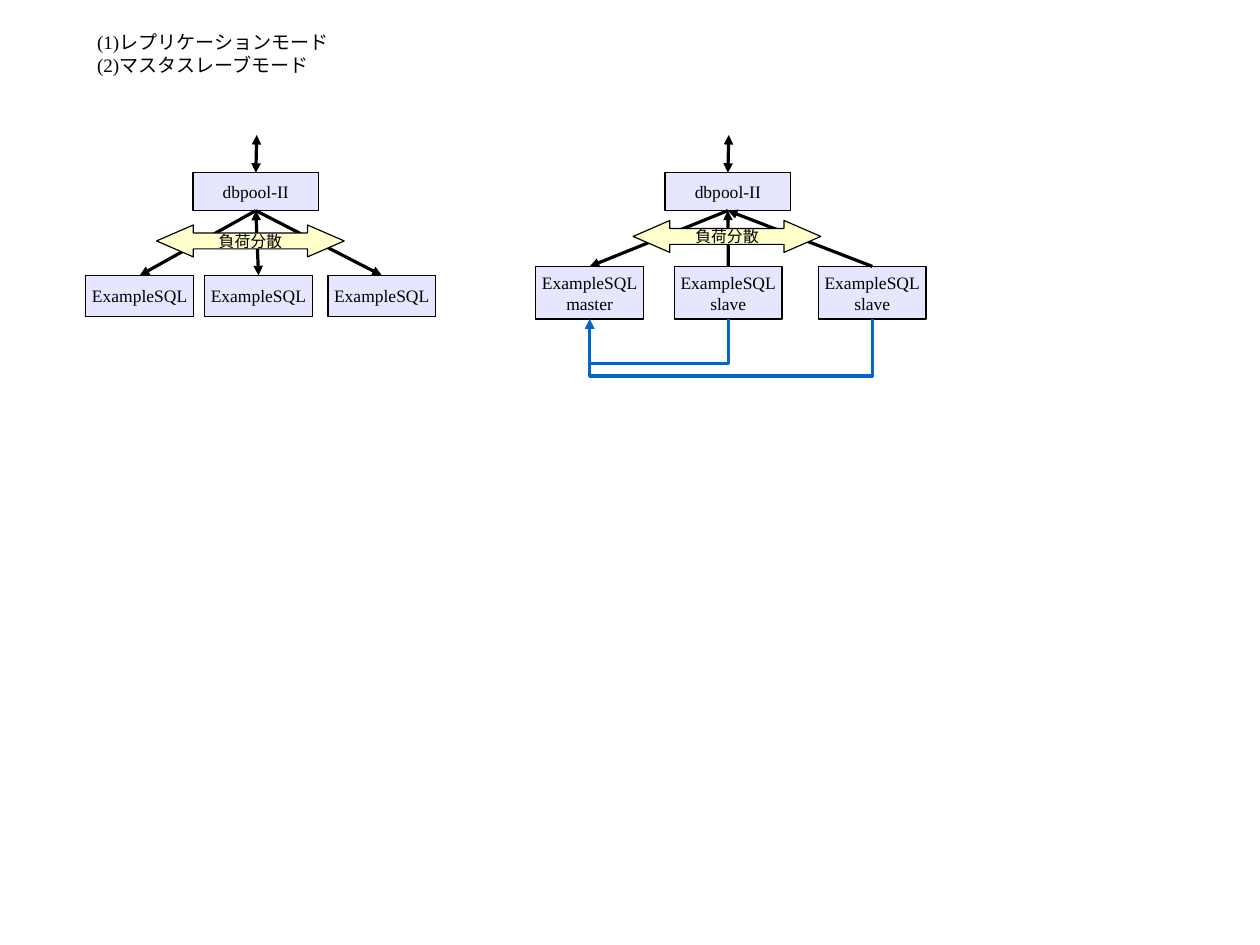
import pptx
import pptx.dml.color
import pptx.enum.shapes
import pptx.enum.text
import pptx.oxml
import pptx.oxml.ns
import pptx.util

Cm = pptx.util.Cm
SHAPE = pptx.enum.shapes.MSO_SHAPE
CONNECTOR = pptx.enum.shapes.MSO_CONNECTOR
ALIGN = pptx.enum.text.PP_ALIGN
TOP, BOTTOM = 0, 2
STUB = 0.01


def color(value):
    """Turn a hex string into a colour."""
    return pptx.dml.color.RGBColor.from_string(value)


def write_text(shape, text, size=11, align=ALIGN.CENTER, wrap=True):
    """Write one paragraph per line of text into a shape without margins."""
    frame = shape.text_frame
    frame.word_wrap = wrap
    frame.vertical_anchor = pptx.enum.text.MSO_ANCHOR.MIDDLE
    frame.margin_left = frame.margin_right = 0
    frame.margin_top = frame.margin_bottom = 0
    frame.text = text
    for paragraph in frame.paragraphs:
        paragraph.alignment = align
        paragraph.font.size = pptx.util.Pt(size)
        for run in paragraph.runs:
            run.font.name = "Times New Roman"
            run.font.size = pptx.util.Pt(size)
            run.font.color.rgb = color("000000")


def add_filled(slide, kind, left, top, width, height, fill, text, size=11):
    """Add a filled, outlined shape with centred text."""
    shape = slide.shapes.add_shape(kind, Cm(left), Cm(top), Cm(width), Cm(height))
    shape.shadow.inherit = False
    shape.fill.solid()
    shape.fill.fore_color.rgb = color(fill)
    shape.line.color.rgb = color("000000")
    shape.line.width = 0
    write_text(shape, text, size=size)
    return shape


def add_box(slide, left, top, width, height, text):
    """Add a lavender server box."""
    return add_filled(slide, SHAPE.RECTANGLE, left, top, width, height, "E6E6FF", text)


def add_balance_arrow(slide, left, top):
    """Add the yellow load balancing arrow."""
    arrow = add_filled(slide, SHAPE.LEFT_RIGHT_ARROW, left, top, 4.17, 0.71,
                       "FFFFCC", "負荷分散", size=10)
    arrow.adjustments[0] = 0.5
    arrow.adjustments[1] = 1.15


def style_connector(connector, line_color, ends):
    """Set the hairline, the arrowheads and an empty effect list."""
    connector.line.color.rgb = color(line_color)
    connector.line.width = 0
    line = connector.line._get_or_add_ln()
    for end in ends:
        line.append(pptx.oxml.parse_xml(
            f'<a:{end} {pptx.oxml.ns.nsdecls("a")} type="triangle"/>'))
    connector._element.spPr.append(pptx.oxml.parse_xml(
        f'<a:effectLst {pptx.oxml.ns.nsdecls("a")}/>'))


def add_client_link(slide, pool):
    """Add the two-way arrow above the pool box."""
    center = pool.left + pool.width // 2
    connector = slide.shapes.add_connector(
        CONNECTOR.STRAIGHT, center + Cm(0.02), Cm(3), center, pool.top)
    connector.end_connect(pool, TOP)
    style_connector(connector, "000000", ["headEnd", "tailEnd"])


def add_link(slide, pool, server, ends):
    """Join the pool box to a server box below it."""
    connector = slide.shapes.add_connector(CONNECTOR.STRAIGHT, 0, 0, 0, 0)
    connector.begin_connect(pool, BOTTOM)
    connector.end_connect(server, TOP)
    style_connector(connector, "000000", ends)


def add_replication(slide, master, slave, drop):
    """Add a U-shaped arrow below the boxes, from master to slave."""
    connector = slide.shapes.add_connector(CONNECTOR.ELBOW, 0, 0, 0, 0)
    connector.begin_connect(master, BOTTOM)
    connector.end_connect(slave, BOTTOM)
    span = slave.left - master.left
    middle = master.left + (master.width + span) // 2
    connector.width, connector.height = Cm(STUB), span
    connector.left = middle - Cm(STUB) // 2
    connector.top = master.top + master.height - span // 2
    properties = connector._element.spPr
    transform = properties.find(pptx.oxml.ns.qn("a:xfrm"))
    transform.set("rot", "16200000")
    transform.set("flipH", "1")
    geometry = properties.find(pptx.oxml.ns.qn("a:prstGeom"))
    for guides in list(geometry):
        geometry.remove(guides)
    geometry.append(pptx.oxml.parse_xml(
        f'<a:avLst {pptx.oxml.ns.nsdecls("a")}>'
        f'<a:gd name="adj1" fmla="val {round(drop / STUB * 100000)}"/></a:avLst>'))
    style_connector(connector, "0066CC", ["tailEnd"])


def add_cluster(slide, pool_left, top, height, servers, balance):
    """Add a pool box with its servers, links and balancing arrow."""
    pool = add_box(slide, pool_left, 3.84, 2.79, 0.84, "dbpool-II")
    add_client_link(slide, pool)
    boxes = []
    for left, text, ends in servers:
        box = add_box(slide, left, top, 2.39, height, text)
        add_link(slide, pool, box, ends)
        boxes.append(box)
    add_balance_arrow(slide, *balance)
    return boxes


def add_title(slide, text):
    """Add the list of modes at the top."""
    title = slide.shapes.add_textbox(Cm(2.16), Cm(0.66), Cm(6), Cm(1.04))
    write_text(title, text, size=12, align=ALIGN.LEFT, wrap=False)


def main():
    """Build the slide and save it."""
    presentation = pptx.Presentation()
    presentation.slide_width, presentation.slide_height = Cm(28), Cm(21)
    slide = presentation.slides.add_slide(presentation.slide_layouts[6])
    add_title(slide, "(1)レプリケーションモード\n(2)マスタスレーブモード")
    add_cluster(slide, 4.29, 6.12, 0.91, [
        (1.91, "ExampleSQL", ["tailEnd"]),
        (4.55, "ExampleSQL", ["headEnd", "tailEnd"]),
        (7.29, "ExampleSQL", ["tailEnd"]),
    ], (3.48, 5))
    master, *slaves = add_cluster(slide, 14.78, 5.92, 1.17, [
        (11.91, "ExampleSQL\nmaster", ["tailEnd"]),
        (14.99, "ExampleSQL\nslave", ["headEnd"]),
        (18.19, "ExampleSQL\nslave", ["headEnd"]),
    ], (14.07, 4.9))
    for slave, drop in zip(slaves, (0.99, 1.27)):
        add_replication(slide, master, slave, drop)
    presentation.save("out.pptx")


if __name__ == "__main__":
    main()
